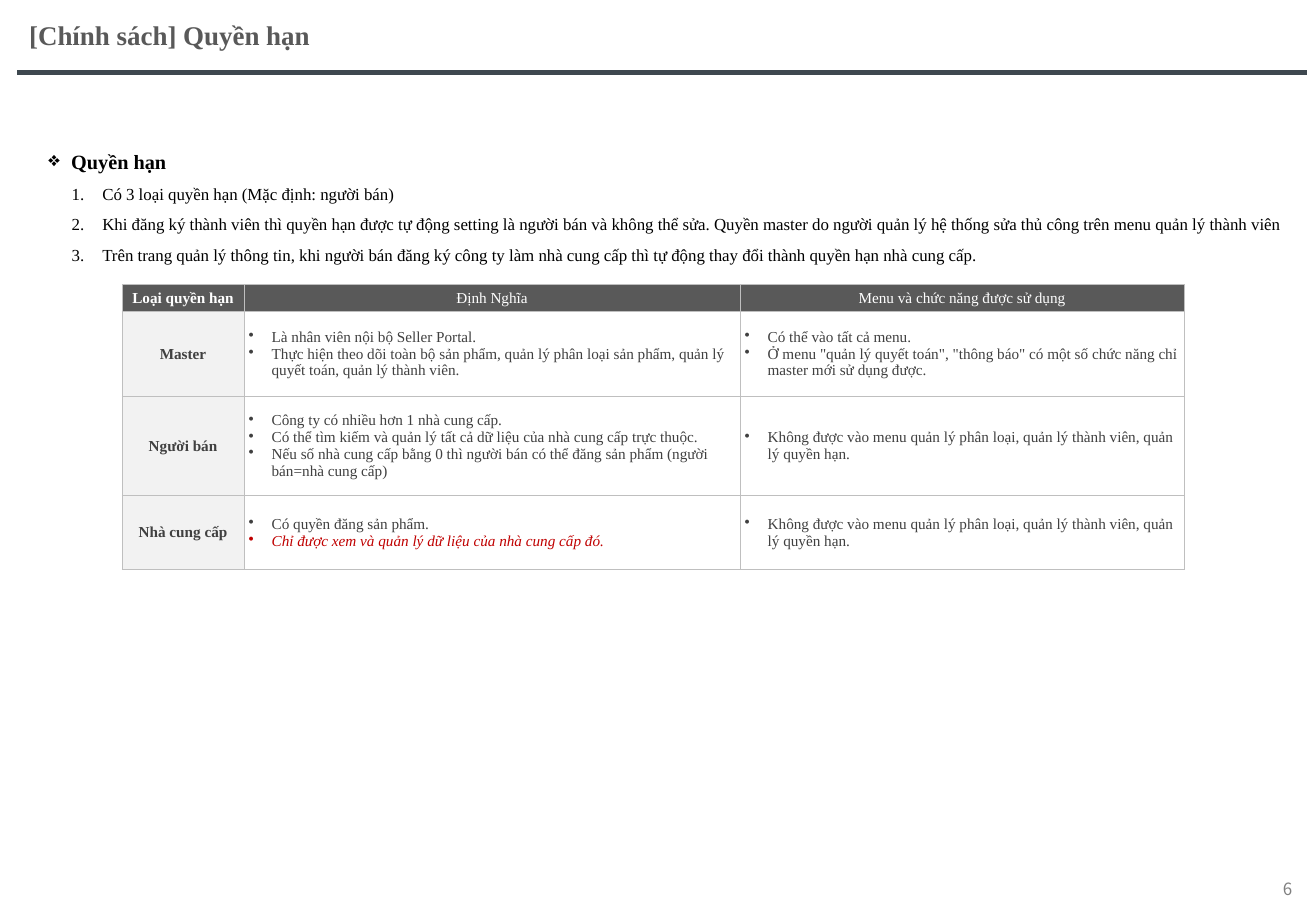
import pptx
import pptx.util
import pptx.dml.color
import pptx.enum.shapes
import pptx.enum.text
import pptx.oxml
import pptx.oxml.ns
import lxml.etree

Cm = pptx.util.Cm
Pt = pptx.util.Pt
RGBColor = pptx.dml.color.RGBColor
ALIGN = pptx.enum.text.PP_ALIGN
ANCHOR = pptx.enum.text.MSO_ANCHOR
qn = pptx.oxml.ns.qn

BLACK = RGBColor(0x00, 0x00, 0x00)
WHITE = RGBColor(0xFF, 0xFF, 0xFF)
DARK = RGBColor(0x59, 0x59, 0x59)
TEXT = RGBColor(0x40, 0x40, 0x40)
PALE = RGBColor(0xF2, 0xF2, 0xF2)
RED = RGBColor(0xC0, 0x00, 0x00)
RULE = RGBColor(0x3E, 0x48, 0x4F)
PAGE = RGBColor(0x80, 0x80, 0x80)
BORDER = RGBColor(0xBF, 0xBF, 0xBF)


def write(tf, text, size=9, color=TEXT, bold=False, italic=False, font="Times New Roman",
          align=ALIGN.LEFT, spacing=None, indent=0, hang=0, bullet=None):
    p = tf.paragraphs[0] if not tf.paragraphs[0].runs else tf.add_paragraph()
    p.alignment = align
    if spacing:
        p.line_spacing = spacing
    if bullet:
        pPr = p._p.get_or_add_pPr()
        pPr.set("marL", str(Cm(indent)))
        pPr.set("indent", str(-Cm(hang)))
        if bullet == "1.":
            lxml.etree.SubElement(pPr, qn("a:buAutoNum"), type="arabicPeriod")
        else:
            lxml.etree.SubElement(pPr, qn("a:buChar"), char=bullet)
    r = p.add_run()
    r.text = text
    r.font.name = font
    r.font.size = Pt(size)
    r.font.bold = bold
    r.font.italic = italic
    r.font.color.rgb = color
    for tag in ("a:ea", "a:cs"):
        lxml.etree.SubElement(r._r.get_or_add_rPr(), qn(tag), typeface=font)


def add_text(left, top, width, height, anchor=ANCHOR.MIDDLE):
    tf = slide.shapes.add_textbox(Cm(left), Cm(top), Cm(width), Cm(height)).text_frame
    tf.word_wrap = True
    tf.vertical_anchor = anchor
    return tf


prs = pptx.Presentation()
prs.slide_width = Cm(27.51)
prs.slide_height = Cm(19.05)
slide = prs.slides.add_slide(prs.slide_layouts[6])

write(add_text(20.83, 18.08, 6.43, 1.02), "6", size=10, color=PAGE,
      font="Noto Sans CJK KR", align=ALIGN.RIGHT)

rule = slide.shapes.add_connector(pptx.enum.shapes.MSO_CONNECTOR.STRAIGHT,
                                  Cm(0.36), Cm(1.52), Cm(27.33), Cm(1.52))
rule.line.color.rgb = RULE
rule.line.width = Pt(3)
lxml.etree.SubElement(rule._element.spPr, qn("a:effectLst"))

write(add_text(0.36, 0, 22.1, 1.45), "[Chính sách] Quyền hạn", size=16, color=DARK, bold=True)

tf = add_text(0.76, 2.74, 26.77, 2.95, ANCHOR.TOP)
write(tf, "Quyền hạn", size=12, color=BLACK, bold=True, spacing=1.5,
      indent=0.48, hang=0.48, bullet="❖")
for text in (
    "Có 3 loại quyền hạn (Mặc định: người bán)",
    "Khi đăng ký thành viên thì quyền hạn được tự động setting là người bán và không thể sửa. "
    "Quyền master do người quản lý hệ thống sửa thủ công trên menu quản lý thành viên",
    "Trên trang quản lý thông tin, khi người bán đăng ký công ty làm nhà cung cấp "
    "thì tự động thay đổi thành quyền hạn nhà cung cấp.",
):
    write(tf, text, size=10, color=BLACK, spacing=1.5, indent=1.13, hang=0.64, bullet="1.")

NO_ACCESS = "Không được vào menu quản lý phân loại, quản lý thành viên, quản lý quyền hạn."
SUPPLIER_ONLY = "Chỉ được xem và quản lý dữ liệu của nhà cung cấp đó."
headers = ["Loại quyền hạn", "Định Nghĩa", "Menu và chức năng được sử dụng"]
roles = [
    ("Master",
     ["Là nhân viên nội bộ Seller Portal.",
      "Thực hiện theo dõi toàn bộ sản phẩm, quản lý phân loại sản phẩm, "
      "quản lý quyết toán, quản lý thành viên."],
     ["Có thể vào tất cả menu.",
      "Ở menu \"quản lý quyết toán\", \"thông báo\" có một số chức năng chỉ master mới sử dụng được."]),
    ("Người bán",
     ["Công ty có nhiều hơn 1 nhà cung cấp.",
      "Có thể tìm kiếm và quản lý tất cả dữ liệu của nhà cung cấp trực thuộc.",
      "Nếu số nhà cung cấp bằng 0 thì người bán có thể đăng sản phẩm (người bán=nhà cung cấp)"],
     [NO_ACCESS]),
    ("Nhà cung cấp", ["Có quyền đăng sản phẩm.", SUPPLIER_ONLY], [NO_ACCESS]),
]
col_widths = [2.55, 10.37, 9.28]
row_heights = [0.56, 1.78, 2.07, 1.55]

table = slide.shapes.add_table(len(row_heights), len(col_widths), Cm(2.55), Cm(5.95),
                               Cm(sum(col_widths)), Cm(sum(row_heights))).table
table.first_row = False
table.horz_banding = False
for col, width in zip(table.columns, col_widths):
    col.width = Cm(width)
for row, height in zip(table.rows, row_heights):
    row.height = Cm(height)

for i, values in enumerate([headers] + roles):
    for j, value in enumerate(values):
        cell = table.cell(i, j)
        cell.vertical_anchor = ANCHOR.MIDDLE
        cell.margin_left = cell.margin_right = Cm(0.1)
        cell.margin_top = cell.margin_bottom = Cm(0.05)
        for side in ("a:lnL", "a:lnR", "a:lnT", "a:lnB"):
            ln = lxml.etree.SubElement(cell._tc.get_or_add_tcPr(), qn(side), w=str(Pt(0.25)))
            fill = lxml.etree.SubElement(ln, qn("a:solidFill"))
            lxml.etree.SubElement(fill, qn("a:srgbClr"), val=str(BORDER))
        cell.fill.solid()
        cell.fill.fore_color.rgb = DARK if i == 0 else PALE if j == 0 else WHITE
        if i == 0 or j == 0:
            write(cell.text_frame, value, color=WHITE if i == 0 else TEXT,
                  bold=j == 0, align=ALIGN.CENTER)
            continue
        for text in value:
            special = text == SUPPLIER_ONLY
            write(cell.text_frame, text, color=RED if special else TEXT, italic=special,
                  indent=0.48, hang=0.48, bullet="•")

prs.save("out.pptx")
